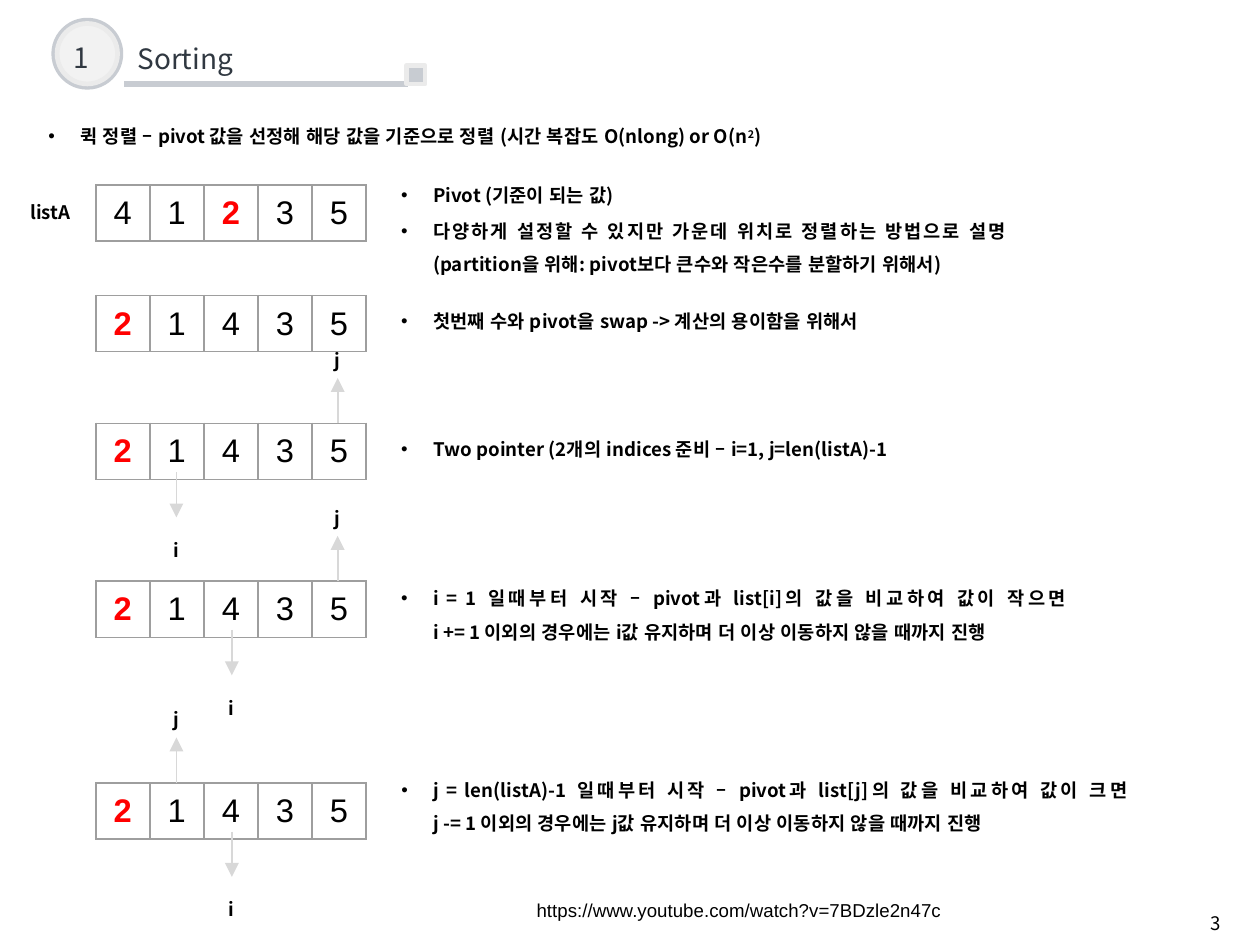
from copy import deepcopy

from lxml import etree
from pptx import Presentation
from pptx.dml.color import RGBColor
from pptx.enum.shapes import MSO_CONNECTOR, MSO_SHAPE
from pptx.enum.text import MSO_ANCHOR, PP_ALIGN
from pptx.oxml.ns import qn
from pptx.util import Inches, Pt

OVAL, RECT = MSO_SHAPE.OVAL, MSO_SHAPE.RECTANGLE
LEFT, CENTER, JUSTIFY = PP_ALIGN.LEFT, PP_ALIGN.CENTER, PP_ALIGN.JUSTIFY
MIDDLE = MSO_ANCHOR.MIDDLE
STRAIGHT = MSO_CONNECTOR.STRAIGHT
SANS, ARIAL = "Noto Sans CJK KR", "Arial"
HEX = {
    "black": "000000", "red": "FF0000", "title": "303841",
    "navy": "4E627B", "ring": "C8CCD2", "pale": "EBEBEB",
    "disc": "F2F2F2", "arrow": "D8D8D8", "border": "9E9E9E",
}
COLOR = {name: RGBColor.from_string(code) for name, code in HEX.items()}

deck = Presentation()
deck.slide_width = Inches(7.5)
deck.slide_height = deck.slide_width * 3 // 4
slide = deck.slides.add_slide(deck.slide_layouts[6])
shapes = slide.shapes


def write(text, box=None, frame=None, size=8, font=SANS, color="black",
          bold=False, align=LEFT, spaced=False, bullet=False):
    """Fill a frame or a new box; \\n splits paragraphs, \\v breaks lines, ^ marks superscript."""
    if frame is None:
        frame = shapes.add_textbox(*map(Inches, box)).text_frame
        frame.word_wrap = True
    for i, block in enumerate(text.split("\n")):
        para = frame.add_paragraph() if i else frame.paragraphs[0]
        para.alignment = align
        if bullet:
            props = para._p.get_or_add_pPr()
            props.set("marL", str(Inches(0.19)))
            props.set("indent", str(-Inches(0.19)))
            tint = etree.SubElement(props, qn("a:buClr"))
            etree.SubElement(tint, qn("a:srgbClr"), val=HEX["black"])
            etree.SubElement(props, qn("a:buFont"), typeface=ARIAL)
            etree.SubElement(props, qn("a:buChar"), char="•")
        if spaced:
            para.line_spacing = 1.5
            para.space_after = Pt(0.8)
        for j, line in enumerate(block.split("\v")):
            if j:
                para.add_line_break()
            for k, part in enumerate(line.split("^")):
                run = para.add_run()
                run.text = part
                run.font.size, run.font.bold = Pt(size), bold
                run.font.color.rgb = COLOR[color]
                run.font.name = font
                mark = run.font._element
                mark.set("lang", "ko-KR")
                mark.set("kern", "0")
                etree.SubElement(mark, qn("a:ea"), typeface=font)
                if k % 2:
                    mark.set("baseline", "30000")
        for gap in para._p.findall(qn("a:br")):
            gap.insert(0, deepcopy(mark))


def draw_line(x1, y1, x2, y2, color, width, arrow=False):
    line = shapes.add_connector(STRAIGHT, *map(Inches, (x1, y1, x2, y2)))
    line.line.color.rgb = COLOR[color]
    line.line.width = Pt(width)
    if arrow:
        etree.SubElement(line.line._get_or_add_ln(), qn("a:tailEnd"), type="triangle")
    etree.SubElement(line._element.spPr, qn("a:effectLst"))


# Header
draw_line(0.74, 0.5, 2.43, 0.5, "ring", 2.25)
for kind, left, top, side, fill, edge in [
    (OVAL, 0.32, 0.12, 0.4, "navy", "ring"),
    (OVAL, 0.34, 0.14, 0.36, "disc", "pale"),
    (RECT, 2.42, 0.39, 0.11, "ring", "pale"),
]:
    badge = shapes.add_shape(kind, *map(Inches, (left, top, side, side)))
    badge.shadow.inherit = False
    badge.fill.solid()
    badge.fill.fore_color.rgb = COLOR[fill]
    badge.line.color.rgb = COLOR[edge]
    badge.line.width = Pt(2)
write("1", (0.34, 0.19, 0.31, 0.3), size=12, color="title")
write("Sorting", (0.72, 0.2, 0.9, 0.3), size=12, color="title")

# Explanations
for text, left, top, width, height in [
    ("퀵 정렬 – pivot 값을 선정해 해당 값을 기준으로 정렬 (시간 복잡도 O(nlong) or O(n^2^)",
     0.19, 0.63, 6.86, 0.29),
    ("Pivot (기준이 되는 값)\n다양하게 설정할 수 있지만 가운데 위치로 정렬하는 방법으로 설명 "
     "(partition을 위해: pivot보다 큰수와 작은수를 분할하기 위해서)",
     2.29, 0.98, 3.8, 0.72),
    ("첫번째 수와 pivot을 swap -> 계산의 용이함을 위해서", 2.29, 1.73, 4.23, 0.3),
    ("Two pointer (2개의 indices 준비 – i=1, j=len(listA)-1", 2.29, 2.49, 3.8, 0.29),
    ("i = 1 일때부터 시작 – pivot과 list[i]의 값을 비교하여 값이 작으면 \v"
     "i += 1 이외의 경우에는 i값 유지하며 더 이상 이동하지 않을 때까지 진행",
     2.29, 3.38, 4.23, 0.5),
    ("j = len(listA)-1 일때부터 시작 – pivot과 list[j]의 값을 비교하여 값이 크면 \v"
     "j -= 1 이외의 경우에는 j값 유지하며 더 이상 이동하지 않을 때까지 진행",
     2.29, 4.52, 4.59, 0.5),
]:
    write(text, (left, top, width, height), bold=True, align=JUSTIFY,
          spaced=True, bullet=True)

# Lists with their i and j pointers, given as column numbers
label = {"bold": True, "align": CENTER, "spaced": True}
write("listA", (0.03, 1.08, 0.54, 0.3), **label)
X, W, H = 0.57, 1.61, 0.33
STEP = W / 5
POINTER_X = {1: 1.05, 2: 1.38, 4: 2.01}
for top, values, i_col, j_col in [
    (1.1, "41235", None, None),
    (1.76, "21435", None, None),
    (2.52, "21435", 1, 4),
    (3.46, "21435", 2, 4),
    (4.66, "21435", 2, 1),
]:
    table = shapes.add_table(1, 5, *map(Inches, (X, top, W, H))).table
    table.first_row = table.horz_banding = False
    for col, value in enumerate(values):
        table.columns[col].width = Inches(STEP)
        cell = table.cell(0, col)
        cell.vertical_anchor = MIDDLE
        pivot = value == "2"
        write(value, frame=cell.text_frame, size=14, font=ARIAL, bold=pivot,
              color="red" if pivot else "black", align=CENTER)
        props = cell._tc.get_or_add_tcPr()
        for side in ("lnL", "lnR", "lnT", "lnB"):
            edge = etree.SubElement(props, qn("a:" + side), w=str(Pt(0.75)))
            paint = etree.SubElement(edge, qn("a:solidFill"))
            etree.SubElement(paint, qn("a:srgbClr"), val=HEX["border"])
        cell.fill.background()
    for name, col, start, end, text_top in [
        ("i", i_col, 0.29, 0.56, 0.57),
        ("j", j_col, 0, -0.27, -0.56),
    ]:
        if col is not None:
            x = POINTER_X[col]
            draw_line(x, top + start, x, top + end, "arrow", 0.75, arrow=True)
            write(name, (x - 0.17, top + text_top, 0.34, 0.3), **label)

# Footer
write("https://www.youtube.com/watch?v=7BDzle2n47c", (2.22, 5.3, 4.36, 0.24),
      font=ARIAL, align=CENTER)
write("3", (7.11, 5.38, 0.39, 0.24))

deck.save("out.pptx")
